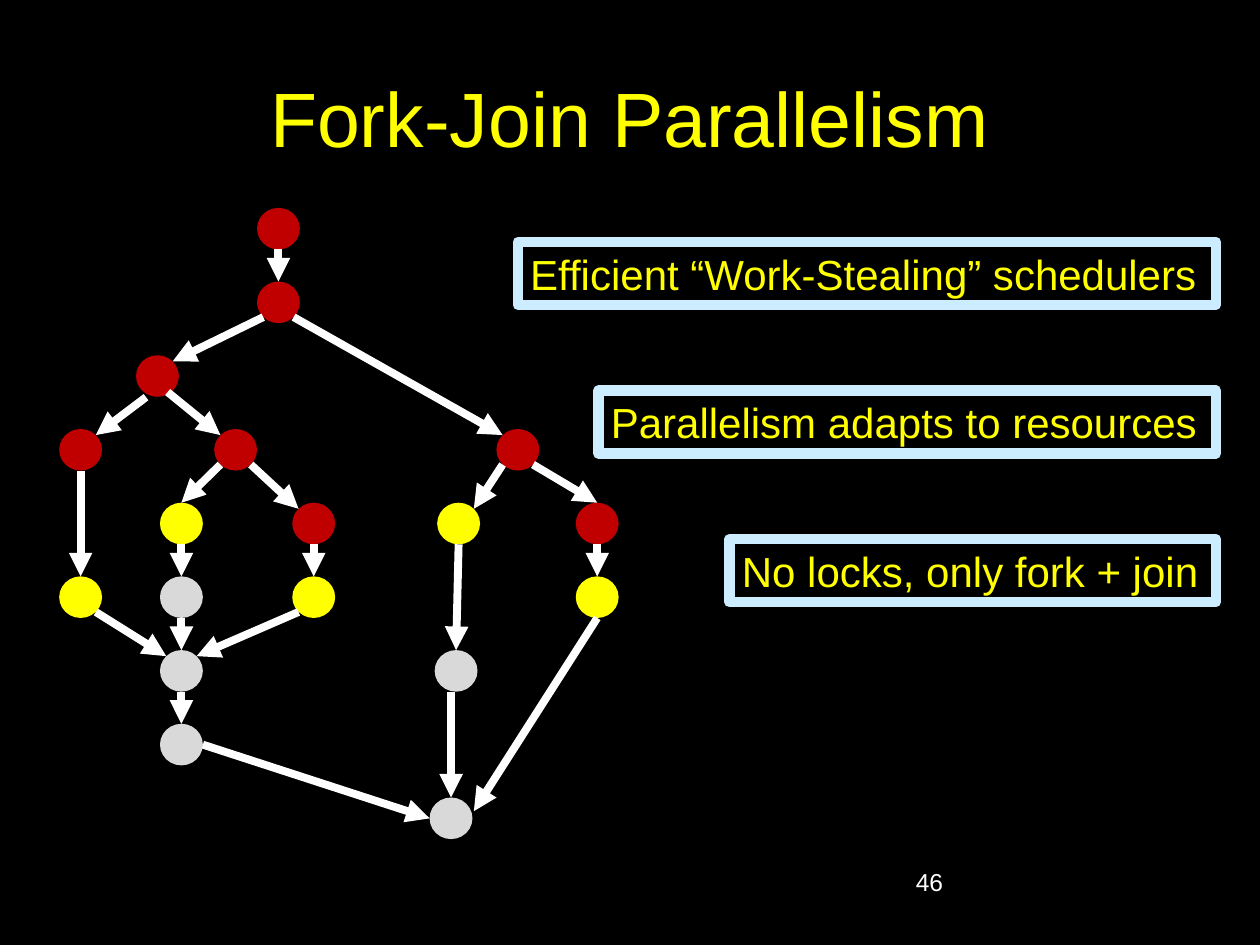
from pptx import Presentation
from pptx.dml.color import RGBColor
from pptx.enum.shapes import MSO_CONNECTOR, MSO_SHAPE
from pptx.enum.text import MSO_ANCHOR, MSO_AUTO_SIZE, PP_ALIGN
from pptx.oxml.ns import qn
from pptx.util import Inches, Pt
from lxml import etree

BLACK = RGBColor(0, 0, 0)
WHITE = RGBColor(255, 255, 255)
YELLOW = RGBColor(255, 255, 0)
RED = RGBColor(0xC0, 0, 0)
GRAY = RGBColor(0xD9, 0xD9, 0xD9)
PALE_BLUE = RGBColor(0xCC, 0xEC, 0xFF)

TITLE = "Fork-Join Parallelism"
PAGE_NUMBER = "46"
CLAIMS = [  # text, box width
    ("Efficient “Work-Stealing” schedulers", 5.54),
    ("Parallelism adapts to resources", 4.9),
    ("No locks, only fork + join", 3.86),
]

# Tasks: name -> (left, row, colour)
TASKS = {
    "start": (2.04, 0, RED),
    "fork": (2.04, 1, RED),
    "left fork": (1.08, 2, RED),
    "right fork": (3.94, 3, RED),
    "inner fork": (1.7, 3, RED),
    "outer": (0.47, 3, RED),
    "inner a": (1.27, 4, YELLOW),
    "inner b": (2.32, 4, RED),
    "right a": (3.47, 4, YELLOW),
    "right b": (4.57, 4, RED),
    "outer end": (0.47, 5, YELLOW),
    "inner a end": (1.27, 5, GRAY),
    "inner b end": (2.32, 5, YELLOW),
    "right b end": (4.57, 5, YELLOW),
    "left join": (1.27, 6, GRAY),
    "right a end": (3.45, 6, GRAY),
    "left end": (1.27, 7, GRAY),
    "final join": (3.41, 8, GRAY),
}
# Arrows: from task, side, to task, side
ARROWS = [
    ("start", "bottom", "fork", "top"),
    ("fork", "bottom left", "left fork", "top right"),
    ("fork", "bottom right", "right fork", "top left"),
    ("right fork", "bottom right", "right b", "top"),
    ("right fork", "bottom left", "right a", "top right"),
    ("right b", "bottom", "right b end", "top"),
    ("right a", "bottom", "right a end", "top"),
    ("right a end", "bottom", "final join", "top"),
    ("left end", "right", "final join", "left"),
    ("right b end", "bottom", "final join", "top right"),
    ("left join", "bottom", "left end", "top"),
    ("left fork", "bottom left", "outer", "top right"),
    ("left fork", "bottom right", "inner fork", "top left"),
    ("inner fork", "bottom right", "inner b", "top left"),
    ("inner fork", "bottom left", "inner a", "top"),
    ("outer", "bottom", "outer end", "top"),
    ("inner a", "bottom", "inner a end", "top"),
    ("inner b", "bottom", "inner b end", "top"),
    ("inner b end", "bottom left", "left join", "top right"),
    ("outer end", "bottom right", "left join", "top left"),
    ("inner a end", "bottom", "left join", "top"),
]
# Ends that stand slightly off the circle's own point: (task, side, other task) -> dx, dy
NUDGES = {
    ("right a end", "bottom", "final join"): (-0.04, 0),
    ("final join", "top right", "right b end"): (0.06, 0.06),
    ("left fork", "bottom left", "outer"): (0.03, 0.05),
    ("left fork", "bottom right", "inner fork"): (-0.04, 0.01),
}
TASK_W, TASK_H = 0.34, 0.33
FIRST_ROW, ROW_STEP = 1.65, 0.585
DIAGONAL = 0.71
CLAIM_RIGHT, CLAIM_TOP, CLAIM_STEP, CLAIM_H = 9.65, 1.92, 1.18, 0.5


def write(shape, text, size, color, align=PP_ALIGN.LEFT):
    paragraph = shape.text_frame.paragraphs[0]
    paragraph.text = text
    paragraph.alignment = align
    paragraph.font.name = "Arial"
    paragraph.font.size = Pt(size)
    paragraph.font.color.rgb = color


def end_point(task, side, other):
    left, row, _ = TASKS[task]
    across = ("right" in side) - ("left" in side)
    down = ("bottom" in side) - ("top" in side)
    reach = DIAGONAL if across and down else 1
    dx, dy = NUDGES.get((task, side, other), (0, 0))
    x = left + TASK_W / 2 * (1 + across * reach) + dx
    y = FIRST_ROW + row * ROW_STEP + TASK_H / 2 * (1 + down * reach) + dy
    return Inches(x), Inches(y)


prs = Presentation()
prs.slide_width, prs.slide_height = Inches(10), Inches(7.5)
slide = prs.slides.add_slide(prs.slide_layouts[6])
slide.background.fill.solid()
slide.background.fill.fore_color.rgb = BLACK
shapes = slide.shapes

# Title and page number
title = shapes.add_textbox(Inches(0.5), Inches(0.3), Inches(9), Inches(1.25))
title.text_frame.word_wrap = True
title.text_frame.vertical_anchor = MSO_ANCHOR.MIDDLE
write(title, TITLE, 44, YELLOW, PP_ALIGN.CENTER)

page_number = shapes.add_textbox(Inches(7.17), Inches(6.83), Inches(2.08), Inches(0.5))
page_number.text_frame.word_wrap = True
write(page_number, PAGE_NUMBER, 14, WHITE)

# Task circles
for left, row, color in TASKS.values():
    circle = shapes.add_shape(MSO_SHAPE.OVAL, Inches(left), Inches(FIRST_ROW + row * ROW_STEP),
                              Inches(TASK_W), Inches(TASK_H))
    circle.shadow.inherit = False
    circle.fill.solid()
    circle.fill.fore_color.rgb = color
    circle.line.fill.background()

# Dependency arrows
for source, source_side, target, target_side in ARROWS:
    arrow = shapes.add_connector(MSO_CONNECTOR.STRAIGHT,
                                 *end_point(source, source_side, target),
                                 *end_point(target, target_side, source))
    arrow.line.color.rgb = WHITE
    arrow.line.width = Pt(4.5)
    etree.SubElement(arrow.line._get_or_add_ln(), qn("a:tailEnd"), type="triangle")
    etree.SubElement(arrow._element.spPr, qn("a:effectLst"))

# Claims, aligned at the right
for i, (text, width) in enumerate(CLAIMS):
    claim = shapes.add_shape(MSO_SHAPE.RECTANGLE, Inches(CLAIM_RIGHT - width),
                             Inches(CLAIM_TOP + i * CLAIM_STEP), Inches(width), Inches(CLAIM_H))
    claim.shadow.inherit = False
    claim.fill.solid()
    claim.fill.fore_color.rgb = BLACK
    claim.line.color.rgb = PALE_BLUE
    claim.line.width = Pt(6)
    claim.text_frame.word_wrap = False
    claim.text_frame.auto_size = MSO_AUTO_SIZE.SHAPE_TO_FIT_TEXT
    claim.text_frame.vertical_anchor = MSO_ANCHOR.TOP
    write(claim, text, 24, YELLOW)

prs.save("out.pptx")
